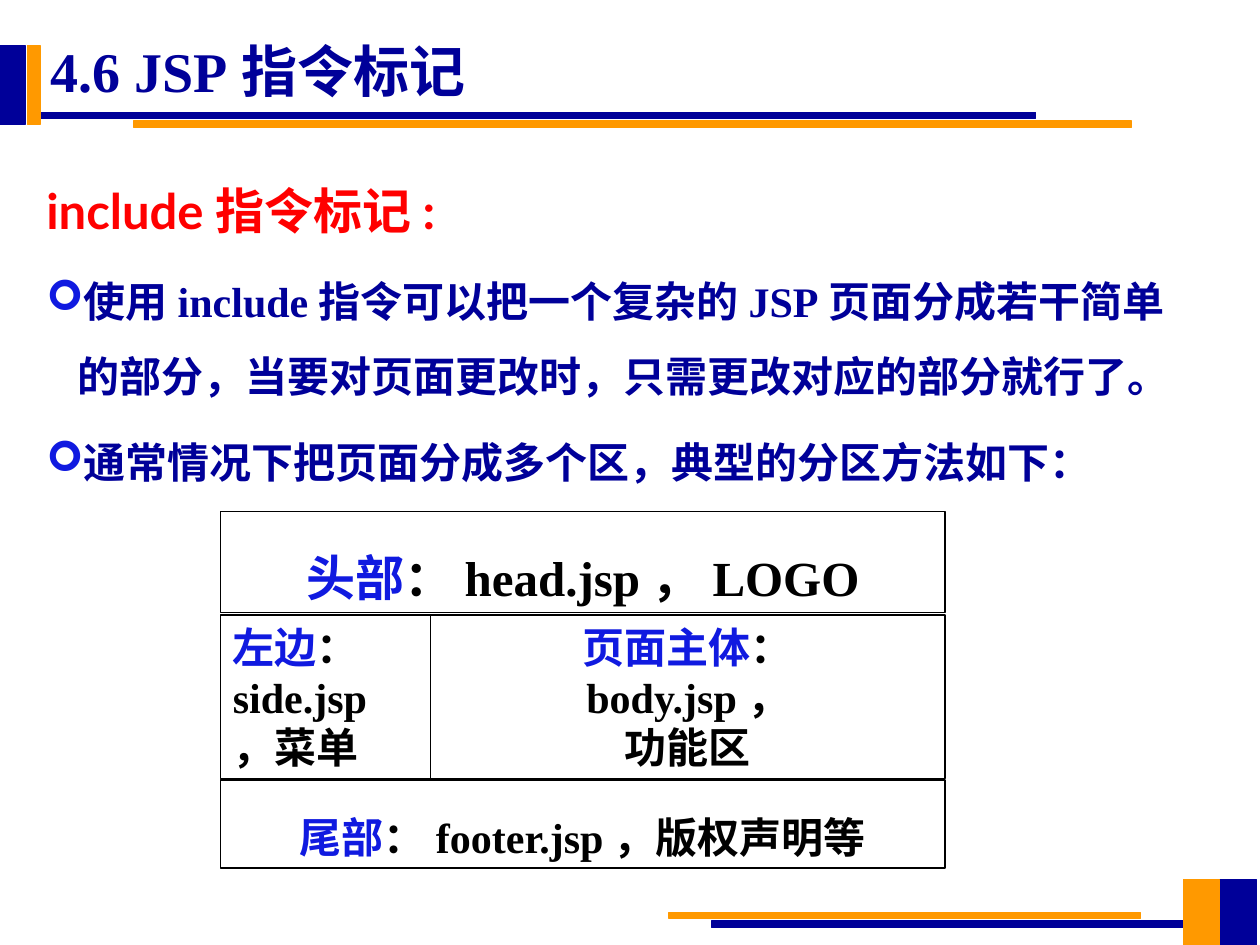
from dataclasses import dataclass

from lxml.etree import SubElement
from pptx import Presentation
from pptx.dml.color import RGBColor as Color
from pptx.enum.shapes import MSO_SHAPE as Shape
from pptx.enum.text import MSO_ANCHOR as Anchor, PP_ALIGN as Align
from pptx.oxml.ns import qn
from pptx.util import Pt


@dataclass(frozen=True)
class Theme:
    navy: str = "000099"
    orange: str = "FF9900"
    red: str = "FF0000"
    blue: str = "101AE0"
    black: str = "000000"
    serif: str = "Times New Roman"
    sans: str = "Lato"
    title: int = 32
    large: int = 28
    body: int = 24
    border: float = 0.75


THEME = Theme()

TITLE = "4.6 JSP指令标记"
HEADING = "include指令标记:"
BULLETS = [
    "使用include指令可以把一个复杂的JSP页面分成若干简单的部分，"
    "当要对页面更改时，只需更改对应的部分就行了。",
    "通常情况下把页面分成多个区，典型的分区方法如下：",
]

# Bars: colour, (left, top, width, height)
BARS = [
    (THEME.navy, (697, 502.6, 20.9, 37.4)),
    (THEME.orange, (382.3, 521.3, 269.3, 3.6)),
    (THEME.navy, (406.8, 526.3, 269.3, 3.6)),
    (THEME.orange, (676.1, 502.6, 20.9, 37.4)),
    (THEME.navy, (21.6, 64.1, 570.2, 3.6)),
    (THEME.orange, (76.3, 69.1, 570.2, 3.6)),
    (THEME.navy, (0, 25.9, 14.4, 45.4)),
    (THEME.orange, (15.8, 25.9, 7.2, 45.4)),
]

# Layout regions: rows of (top, height, cells);
# a cell is (width, size, line spacing, alignment, label, lines after it)
LAYOUT_LEFT = 126
LAYOUT_ROWS = [
    (292.3, 57.6, [
        (414, THEME.large, 1.5, Align.CENTER, "头部", ["：head.jsp，LOGO"]),
    ]),
    (351.4, 93.6, [
        (120, THEME.body, 1, Align.LEFT, "左边", ["：side.jsp，菜单"]),
        (294, THEME.body, 1, Align.CENTER, "页面主体",
         ["：", "body.jsp，", "功能区"]),
    ]),
    (445.7, 50.4, [
        (414, THEME.body, 1.5, Align.CENTER, "尾部",
         ["：footer.jsp，版权声明等"]),
    ]),
]


def add_rectangle(slide, place, fill, border):
    box = slide.shapes.add_shape(Shape.RECTANGLE, *map(Pt, place))
    box.shadow.inherit = False
    if fill:
        box.fill.solid()
        box.fill.fore_color.rgb = Color.from_string(fill)
    else:
        box.fill.background()
    box.line.color.rgb = Color.from_string(border)
    box.line.width = Pt(THEME.border)
    return box


def add_text_box(slide, place, anchor):
    frame = slide.shapes.add_textbox(*map(Pt, place)).text_frame
    frame.word_wrap = True
    frame.vertical_anchor = anchor
    return frame


def add_span(para, text, size, color, font=THEME.serif):
    span = para.add_run()
    span.text = text
    span.font.size = Pt(size)
    span.font.name = font
    span.font.bold = True
    span.font.color.rgb = Color.from_string(color)


def add_bullet(para):
    """Give the paragraph a hanging arrow bullet."""
    props = para._p.get_or_add_pPr()
    props.set("marL", str(Pt(18)))
    props.set("indent", str(-Pt(18)))
    color = SubElement(props, qn("a:buClr"))
    SubElement(color, qn("a:srgbClr"), val=THEME.blue)
    SubElement(props, qn("a:buFont"), typeface="Wingdings")
    SubElement(props, qn("a:buChar"), char="➢")


def add_region(slide, place, size, spacing, align, label, lines):
    frame = add_rectangle(slide, place, None, THEME.black).text_frame
    frame.word_wrap = True
    frame.vertical_anchor = Anchor.TOP
    for index, line in enumerate(lines):
        para = frame.add_paragraph() if index else frame.paragraphs[0]
        para.alignment = align
        para.line_spacing = float(spacing)
        if index == 0:
            add_span(para, label, size, THEME.blue)
        add_span(para, line, size, THEME.black)


def main():
    deck = Presentation()
    deck.slide_width, deck.slide_height = Pt(720), Pt(540)
    slide = deck.slides.add_slide(deck.slide_layouts[6])

    for color, place in BARS:
        add_rectangle(slide, place, color, color)

    title = add_text_box(slide, (21.6, 15.1, 694.8, 50.4), Anchor.MIDDLE)
    add_span(title.paragraphs[0], TITLE, THEME.title, THEME.navy)

    body = add_text_box(slide, (19.4, 82.8, 674.6, 199.4), Anchor.TOP)
    heading = body.paragraphs[0]
    heading.line_spacing = 1.5
    add_span(heading, HEADING, THEME.large, THEME.red, THEME.sans)
    for text in BULLETS:
        para = body.add_paragraph()
        para.line_spacing = 1.5
        para.space_before = Pt(6)
        add_bullet(para)
        add_span(para, text, THEME.body, THEME.navy)

    for top, height, cells in LAYOUT_ROWS:
        left = LAYOUT_LEFT
        for width, *content in cells:
            add_region(slide, (left, top, width, height), *content)
            left += width

    deck.save("out.pptx")


if __name__ == "__main__":
    main()
